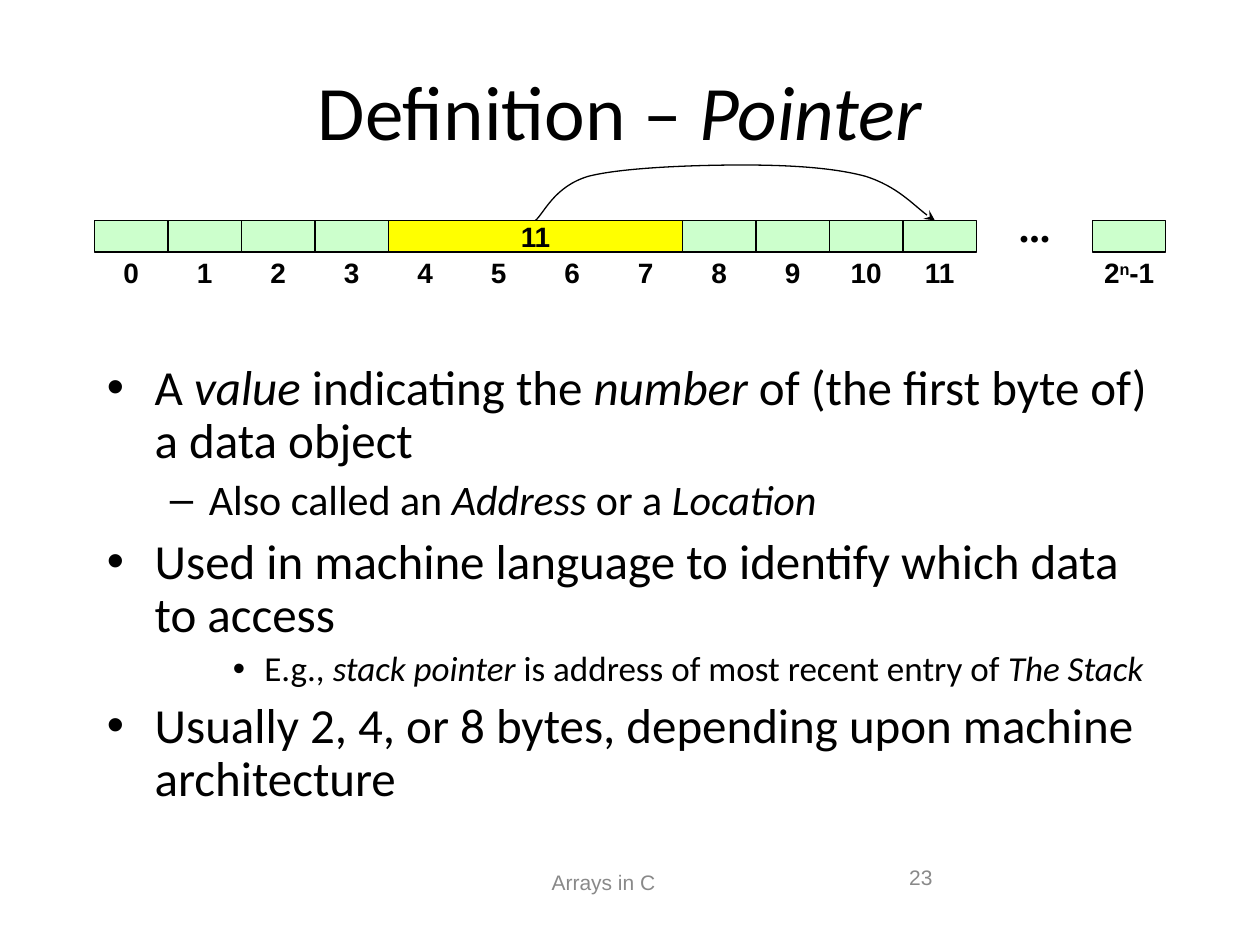
from lxml.etree import SubElement
from pptx import Presentation
from pptx.dml.color import RGBColor
from pptx.enum.shapes import MSO_SHAPE
from pptx.enum.text import MSO_ANCHOR, PP_ALIGN
from pptx.oxml.ns import qn
from pptx.util import Inches, Pt

BLACK = RGBColor(0x00, 0x00, 0x00)
GREY = RGBColor(0x89, 0x89, 0x89)
GREEN = RGBColor(0xCC, 0xFF, 0xCC)
YELLOW = RGBColor(0xFF, 0xFF, 0x00)

# Memory row: equal cells of 7/12 inch
LEFT, TOP, CELL, HIGH = 0.75, 1.75, 7 / 12, 0.25
LABEL_TOP, LABEL_HIGH = 2.03, 0.27
LAST = 8.67
DOTS = 7.92

HEAD = {"name": "Calibri", "size": Pt(44)}
TAG = {"name": "Arial", "size": Pt(16), "bold": True}
DOT = {"name": "Times New Roman", "size": Pt(24), "bold": True}
FOOT = {"name": "Arial", "size": Pt(12)}

# Per level: text size, indent, hanging, space before, bullet
LEVELS = [
    (28, 0.38, 0.38, 7, "•"),
    (24, 0.81, 0.31, 6, "–"),
    (20, 1.25, 0.25, 5, "•"),
]

# Level, then parts that alternate between upright and italic
POINTS = [
    (0, ["A ", "value", " indicating the ", "number",
         " of (the first byte of) a data object"]),
    (1, ["Also called an ", "Address ", "or a", " Location"]),
    (0, ["Used in machine language to identify which data to access"]),
    (2, ["E.g., ", "stack pointer",
         " is address of most recent entry of ", "The Stack"]),
    (0, ["Usually 2, 4, or 8 bytes, depending upon machine architecture"]),
]

CURVE = [
    (4.25, 1.75),
    (4.32, 1.69), (4.4, 1.48), (4.67, 1.4),
    (4.94, 1.33), (5.52, 1.31), (5.89, 1.31),
    (6.26, 1.31), (6.61, 1.33), (6.87, 1.4),
    (7.12, 1.48), (7.3, 1.68), (7.42, 1.75),
]


def col(index):
    return LEFT + index * CELL


def area(*sides):
    return [Inches(side) for side in sides]


def set_all(item, values):
    for key, value in values.items():
        setattr(item, key, value)


def add_run(para, text, form, color=BLACK):
    run = para.add_run()
    run.text = text
    set_all(run.font, form)
    run.font.color.rgb = color
    return run


def add_parts(para, parts, form):
    """Write the parts, with every second one in italics."""
    for index, part in enumerate(parts):
        add_run(para, part, {**form, "italic": index % 2 == 1})


def add_text(slide, box, text, form, color=BLACK, align=PP_ALIGN.CENTER, pad=0):
    frame = slide.shapes.add_textbox(*area(*box)).text_frame
    set_all(frame, {
        "word_wrap": pad > 0, "vertical_anchor": MSO_ANCHOR.MIDDLE,
        "margin_left": Inches(pad), "margin_right": Inches(pad),
        "margin_top": Inches(pad / 2), "margin_bottom": Inches(pad / 2),
    })
    para = frame.paragraphs[0]
    para.alignment = align
    if text:
        add_run(para, text, form, color)
    return para


def outline(shape):
    shape.shadow.inherit = False
    shape.line.color.rgb = BLACK
    shape.line.width = Pt(0.75)


def add_cell(slide, left, span=1, fill=GREEN):
    box = area(left, TOP, span * CELL, HIGH)
    shape = slide.shapes.add_shape(MSO_SHAPE.RECTANGLE, *box)
    shape.fill.solid()
    shape.fill.fore_color.rgb = fill
    outline(shape)
    return shape


def add_label(slide, left, text):
    box = (left, LABEL_TOP, CELL, LABEL_HIGH)
    return add_text(slide, box, text, TAG)


def add_row(slide):
    for index in range(12):
        if index not in range(4, 8):
            add_cell(slide, col(index))
        add_label(slide, col(index), str(index))

    add_text(slide, (DOTS, TOP, CELL, HIGH), "∙∙∙", DOT)
    add_cell(slide, LAST)
    power = add_label(slide, LAST, "")
    add_run(power, "2", TAG)
    raised = add_run(power, "n", TAG)
    raised._r.get_or_add_rPr().set("baseline", "30000")
    add_run(power, "-1", TAG)

    frame = add_cell(slide, col(4), 4, YELLOW).text_frame
    frame.word_wrap = False
    frame.vertical_anchor = MSO_ANCHOR.MIDDLE
    para = frame.paragraphs[0]
    para.alignment = PP_ALIGN.CENTER
    add_run(para, "11", TAG)


def add_curve(slide, points):
    """Draw an arrow whose points after the first are Bezier triples."""
    start, *rest = [tuple(area(*point)) for point in points]
    form = slide.shapes.build_freeform(*start)
    form.add_line_segments(rest, close=False)
    shape = form.convert_to_shape()
    shape.fill.background()
    outline(shape)
    track = shape._element.find(".//" + qn("a:path"))
    lines = track.findall(qn("a:lnTo"))
    for first in range(0, len(lines), 3):
        bend = SubElement(track, qn("a:cubicBezTo"))
        for line in lines[first:first + 3]:
            bend.append(line[0])
            track.remove(line)
    SubElement(shape.line._get_or_add_ln(), qn("a:tailEnd"), type="stealth")


def add_title(slide):
    title = slide.shapes.title
    keys = ("left", "top", "width", "height")
    set_all(title, dict(zip(keys, area(0.67, 0.33, 8.5, 1.08))))
    title.text_frame.vertical_anchor = MSO_ANCHOR.MIDDLE
    para = title.text_frame.paragraphs[0]
    para.alignment = PP_ALIGN.CENTER
    add_parts(para, ["Definition – ", "Pointer"], HEAD)


def add_points(slide):
    frame = slide.shapes.add_textbox(*area(0.75, 2.83, 8.5, 3.92)).text_frame
    frame.word_wrap = True
    for index, (level, parts) in enumerate(POINTS):
        size, indent, hang, space, mark = LEVELS[level]
        para = frame.add_paragraph() if index else frame.paragraphs[0]
        set_all(para, {
            "level": level, "line_spacing": 0.9,
            "space_before": Pt(space if index else 0),
        })
        props = para._p.get_or_add_pPr()
        props.set("marL", str(Inches(indent)))
        props.set("indent", str(-Inches(hang)))
        SubElement(props, qn("a:buFont"), typeface="Arial")
        SubElement(props, qn("a:buChar"), char=mark)
        add_parts(para, parts, {"name": "Calibri", "size": Pt(size)})


def main():
    deck = Presentation()
    deck.slide_width, deck.slide_height = area(10, 7.5)
    slide = deck.slides.add_slide(deck.slide_layouts[5])
    add_title(slide)
    add_points(slide)
    add_text(slide, (3.83, 6.75, 1.92, 0.5), "Arrays in C", FOOT, GREY, pad=0.1)
    add_text(slide, (6.67, 6.75, 0.83, 0.42), "23", FOOT, GREY,
             PP_ALIGN.RIGHT, pad=0.1)
    add_row(slide)
    add_curve(slide, CURVE)
    deck.save("out.pptx")


if __name__ == "__main__":
    main()
